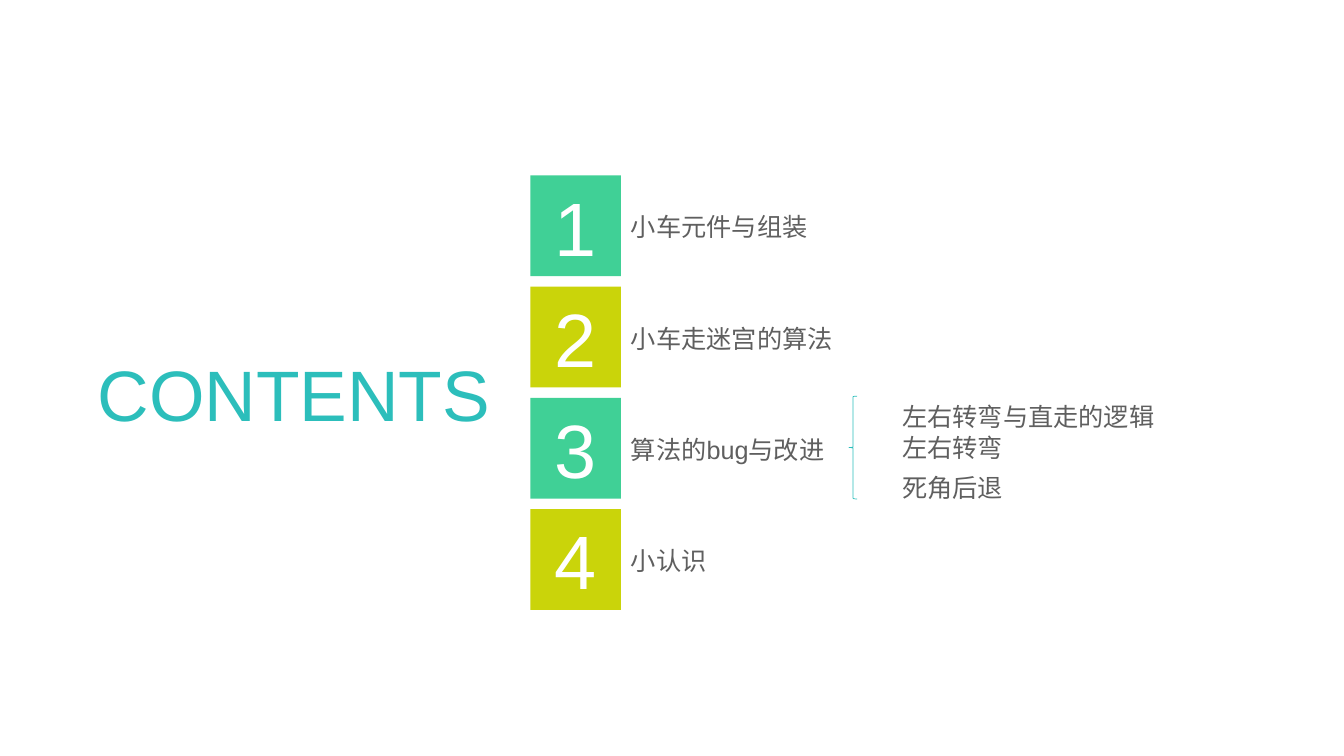
"""Build the contents slide: a title, four numbered topics and a braced list of subtopics."""
import pptx
import pptx.util
from pptx.dml.color import RGBColor
from pptx.enum.shapes import MSO_SHAPE
from pptx.enum.text import MSO_ANCHOR, PP_ALIGN

WIDTH, HEIGHT = 13.33, 7.5
TEAL = RGBColor(0x2C, 0xBE, 0xBB)
GREEN = RGBColor(0x40, 0xD0, 0x96)
LIME = RGBColor(0xCA, 0xD4, 0x0A)
GREY = RGBColor(0x5F, 0x5F, 0x5F)
WHITE = RGBColor(0xFF, 0xFF, 0xFF)
LATIN, CHINESE = "Arial", "Noto Sans CJK SC"

TOPICS = ["小车元件与组装", "小车走迷宫的算法", "算法的bug与改进", "小认识"]
SUBTOPICS = [
    ("左右转弯与直走的逻辑", 52.4, CHINESE),
    ("左右转弯", 56.53, LATIN),
    ("死角后退", 61.87, LATIN),
]
FIRST_ROW, ROW_STEP = 23.2, 14.72
NUMBER_LEFT, NUMBER_WIDTH, NUMBER_HEIGHT = 39.46, 6.75, 13.33


def area(left, top, width, height):
    """Turn percentages of the slide into lengths."""
    return [pptx.util.Inches(share * side / 100) for share, side in
            zip((left, top, width, height), (WIDTH, HEIGHT, WIDTH, HEIGHT))]


def write(shape, text, size, color, font=LATIN, align=PP_ALIGN.LEFT,
          anchor=MSO_ANCHOR.TOP, spacing=None):
    """Put one styled line of text in a shape."""
    frame = shape.text_frame
    frame.word_wrap = True
    frame.vertical_anchor = anchor
    para = frame.paragraphs[0]
    para.alignment = align
    if spacing:
        para.line_spacing = pptx.util.Pt(spacing)
    span = para.add_run()
    span.text = text
    span.font.size = pptx.util.Pt(size)
    span.font.name = font
    span.font.color.rgb = color


def add_text(page, place, text, size, color, **style):
    """Add a text box with one line."""
    write(page.shapes.add_textbox(*area(*place)), text, size, color, **style)


def add_topic(page, index, topic):
    """Add a numbered block and its label on the topic's row."""
    top = FIRST_ROW + index * ROW_STEP
    block = page.shapes.add_shape(
        MSO_SHAPE.RECTANGLE, *area(NUMBER_LEFT, top, NUMBER_WIDTH, NUMBER_HEIGHT))
    block.shadow.inherit = False
    block.fill.solid()
    block.fill.fore_color.rgb = (GREEN, LIME)[index % 2]
    block.line.fill.background()
    write(block, str(index + 1), 54, WHITE, align=PP_ALIGN.CENTER,
          anchor=MSO_ANCHOR.MIDDLE)
    label = (NUMBER_LEFT + NUMBER_WIDTH, top + 3.87, 39.38, 5.6)
    add_text(page, label, topic, 18, GREY, spacing=23)


def add_brace(page, place):
    """Add a thin outlined brace that opens to the right."""
    brace = page.shapes.add_shape(MSO_SHAPE.LEFT_BRACE, *area(*place))
    brace.shadow.inherit = False
    brace.adjustments[0] = 0.08
    brace.fill.background()
    brace.line.color.rgb = TEAL
    brace.line.width = pptx.util.Pt(0.5)


def main():
    """Build and save the deck."""
    deck = pptx.Presentation()
    deck.slide_width = pptx.util.Inches(WIDTH)
    deck.slide_height = pptx.util.Inches(HEIGHT)
    page = deck.slides.add_slide(deck.slide_layouts[6])
    add_text(page, (5.18, 44.53, 33.38, 14.8), "CONTENTS", 51, TEAL,
             align=PP_ALIGN.CENTER, anchor=MSO_ANCHOR.MIDDLE)
    for index, topic in enumerate(TOPICS):
        add_topic(page, index, topic)
    add_brace(page, (63.17, 52.4, 0.6, 13.6))
    for subtopic, top, font in SUBTOPICS:
        add_text(page, (66.39, top, 25.28, 5.33), subtopic, 18, GREY, font=font)
    deck.save("out.pptx")


if __name__ == "__main__":
    main()
